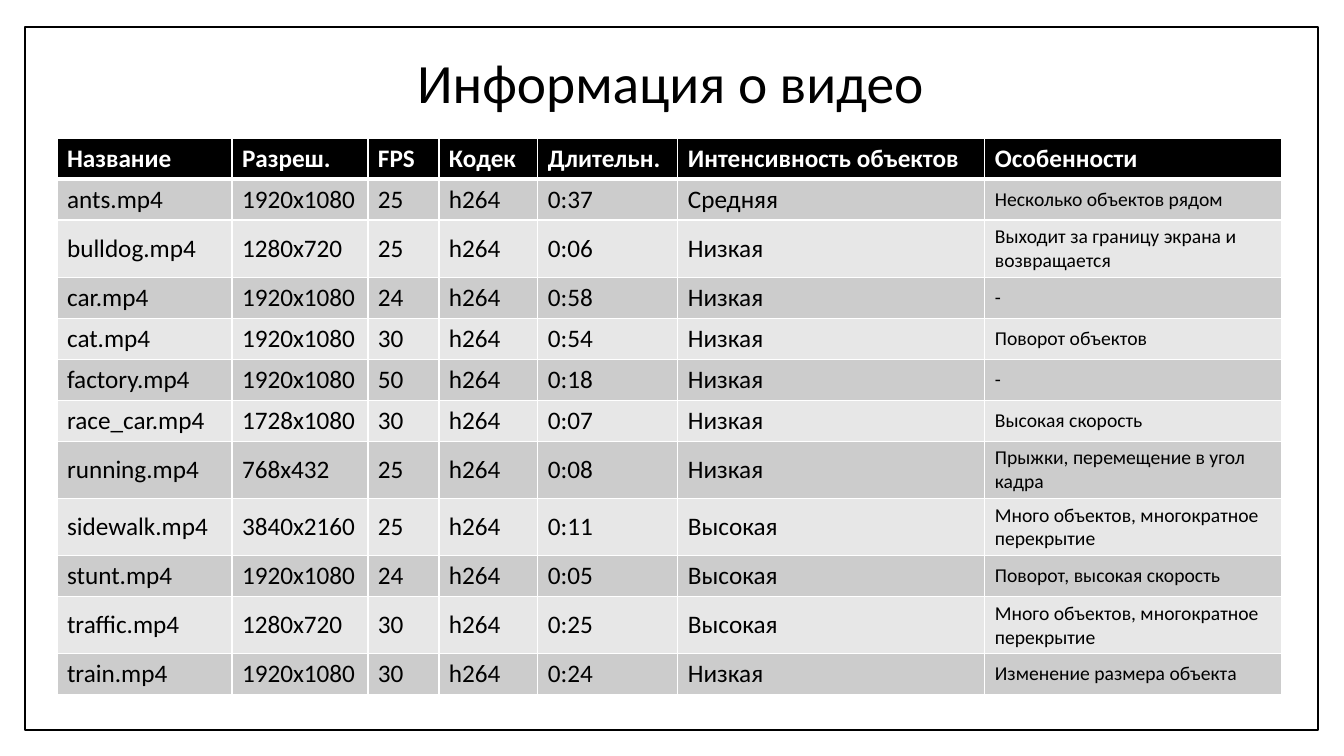
from lxml.etree import SubElement
from pptx import Presentation
from pptx.dml.color import RGBColor
from pptx.enum.shapes import MSO_SHAPE
from pptx.enum.text import MSO_ANCHOR, PP_ALIGN
from pptx.oxml.ns import qn
from pptx.util import Emu, Pt

PX = 914400 / 100.8
BLACK = RGBColor(0x00, 0x00, 0x00)
WHITE = RGBColor(0xFF, 0xFF, 0xFF)
ROW_DARK = RGBColor(0xCC, 0xCC, 0xCC)
ROW_LIGHT = RGBColor(0xE7, 0xE7, 0xE7)

COLUMN_WIDTHS = [175, 136, 71, 99, 140, 307, 297]
ROW_HEIGHT = 41
ROWS = [
    ["Название", "Разреш.", "FPS", "Кодек", "Длительн.", "Интенсивность объектов", "Особенности"],
    ["ants.mp4", "1920x1080", "25", "h264", "0:37", "Средняя", "Несколько объектов рядом"],
    ["bulldog.mp4", "1280x720", "25", "h264", "0:06", "Низкая", "Выходит за границу экрана и возвращается"],
    ["car.mp4", "1920x1080", "24", "h264", "0:58", "Низкая", "-"],
    ["cat.mp4", "1920x1080", "30", "h264", "0:54", "Низкая", "Поворот объектов"],
    ["factory.mp4", "1920x1080", "50", "h264", "0:18", "Низкая", "-"],
    ["race_car.mp4", "1728x1080", "30", "h264", "0:07", "Низкая", "Высокая скорость"],
    ["running.mp4", "768x432", "25", "h264", "0:08", "Низкая", "Прыжки, перемещение в угол кадра"],
    ["sidewalk.mp4", "3840x2160", "25", "h264", "0:11", "Высокая", "Много объектов, многократное перекрытие"],
    ["stunt.mp4", "1920x1080", "24", "h264", "0:05", "Высокая", "Поворот, высокая скорость"],
    ["traffic.mp4", "1280x720", "30", "h264", "0:25", "Высокая", "Много объектов, многократное перекрытие"],
    ["train.mp4", "1920x1080", "30", "h264", "0:24", "Низкая", "Изменение размера объекта"],
]


def px(n):
    return Emu(round(n * PX))


def add_run(p, text, size, color, bold=False):
    r = p.add_run()
    r.text = text
    r.font.name = "Calibri"
    r.font.size = Pt(size)
    r.font.bold = bold
    r.font.color.rgb = color


prs = Presentation()
prs.slide_width, prs.slide_height = px(1344), px(756)
s = prs.slides.add_slide(prs.slide_layouts[6])

# Frame
frame = s.shapes.add_shape(MSO_SHAPE.RECTANGLE, px(25), px(27), px(1293), px(703))
frame.shadow.inherit = False
frame.fill.solid()
frame.fill.fore_color.rgb = WHITE
frame.line.color.rgb = BLACK
frame.line.width = Pt(1)

# Title
title = s.shapes.add_textbox(px(126), px(67), px(1089), px(38))
tf = title.text_frame
tf.word_wrap = True
tf.vertical_anchor = MSO_ANCHOR.MIDDLE
p = tf.paragraphs[0]
p.alignment = PP_ALIGN.CENTER
p.line_spacing = 0.9
add_run(p, "Информация о видео", 39.6, BLACK)

# Video table; rows with two lines of text grow by themselves
table = s.shapes.add_table(
    len(ROWS), len(COLUMN_WIDTHS), px(57), px(138),
    px(sum(COLUMN_WIDTHS)), px(ROW_HEIGHT * len(ROWS)),
).table
for column, width in zip(table.columns, COLUMN_WIDTHS):
    column.width = px(width)

for i, values in enumerate(ROWS):
    table.rows[i].height = px(ROW_HEIGHT)
    header = i == 0
    row_fill = BLACK if header else ROW_DARK if i % 2 else ROW_LIGHT
    border_points = {"lnL": 1, "lnR": 1, "lnT": 3 if i == 1 else 1, "lnB": 3 if header else 1}
    for j, value in enumerate(values):
        cell = table.cell(i, j)
        cell.vertical_anchor = MSO_ANCHOR.MIDDLE
        size = 14 if j == 6 and not header else 18
        add_run(cell.text_frame.paragraphs[0], value, size, WHITE if header else BLACK, header)
        tcPr = cell._tc.get_or_add_tcPr()
        for side, points in border_points.items():
            ln = SubElement(tcPr, qn(f"a:{side}"), w=str(Pt(points)))
            SubElement(SubElement(ln, qn("a:solidFill")), qn("a:srgbClr"), val=str(WHITE))
        cell.fill.solid()
        cell.fill.fore_color.rgb = row_fill
        # Borders come before the fill in the cell properties
        tcPr.append(tcPr.find(qn("a:solidFill")))

prs.save("out.pptx")
